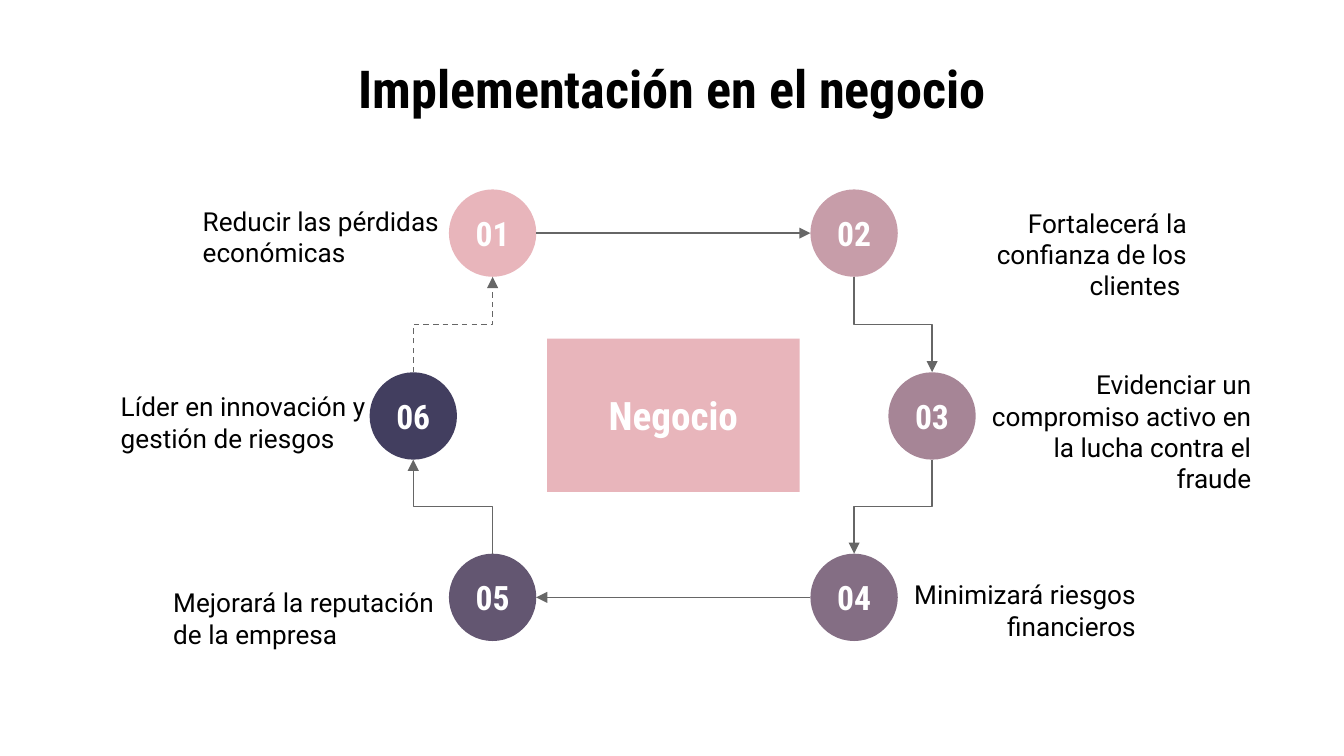
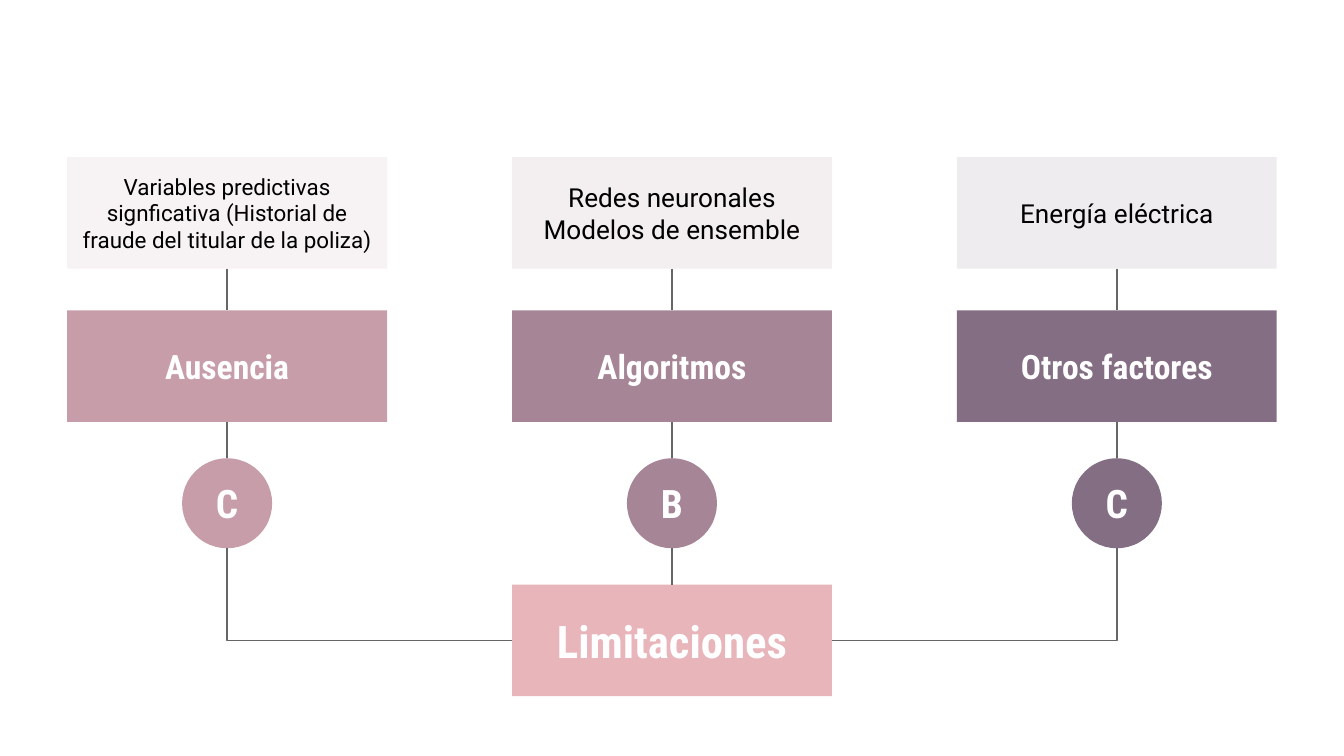
from dataclasses import dataclass

from lxml import etree
from pptx import Presentation
from pptx.dml.color import RGBColor
from pptx.enum.dml import MSO_LINE
from pptx.enum.shapes import MSO_CONNECTOR, MSO_SHAPE
from pptx.enum.text import MSO_ANCHOR, MSO_AUTO_SIZE, PP_ALIGN
from pptx.oxml.ns import qn
from pptx.util import Inches, Pt

BLACK = RGBColor(0x00, 0x00, 0x00)
WHITE = RGBColor(0xFF, 0xFF, 0xFF)
GRAY = RGBColor(0x66, 0x66, 0x66)
PINK = RGBColor(0xE8, 0xB5, 0xBB)
ROSE = RGBColor(0xC7, 0x9D, 0xA9)
MAUVE = RGBColor(0xA6, 0x85, 0x96)
PLUM = RGBColor(0x84, 0x6E, 0x84)
VIOLET = RGBColor(0x63, 0x56, 0x71)
NAVY = RGBColor(0x42, 0x3E, 0x5F)

BODY, HEADING = "Roboto", "Roboto Condensed"
LEFT, CENTER, RIGHT = PP_ALIGN.LEFT, PP_ALIGN.CENTER, PP_ALIGN.RIGHT
MIDDLE, NO_FIT = MSO_ANCHOR.MIDDLE, MSO_AUTO_SIZE.NONE
RECT, OVAL = MSO_SHAPE.RECTANGLE, MSO_SHAPE.OVAL
STRAIGHT, ELBOW = MSO_CONNECTOR.STRAIGHT, MSO_CONNECTOR.ELBOW
DASH = MSO_LINE.DASH
TOP_SITE, BOTTOM_SITE = 0, 2
TITLE_ONLY, BLANK = 5, 6
SLIDE_W = Inches(10)
SLIDE_H = SLIDE_W * 9 // 16
INSET = Inches(0.1)


@dataclass(frozen=True)
class Style:
    size: float
    name: str = HEADING
    color: RGBColor = WHITE
    bold: bool = True
    align: PP_ALIGN = CENTER


@dataclass(frozen=True)
class Benefit:
    number: str
    text: str
    color: RGBColor
    circle: tuple[float, float]
    label: tuple[float, float]
    align: PP_ALIGN


@dataclass(frozen=True)
class Limitation:
    letter: str
    name: str
    details: str
    size: float
    color: RGBColor


CIRCLE = 0.65
INNER_LEFT, INNER_RIGHT = 3.34, 6.03
OUTER_LEFT, OUTER_RIGHT = 2.75, 6.61
ROW_1, ROW_2, ROW_3 = 1.41, 2.77, 4.12

BENEFITS = [
    Benefit("01", "Reducir las pérdidas económicas", PINK,
            (INNER_LEFT, ROW_1), (1.41, 1.54), LEFT),
    Benefit("02", "Fortalecerá la confianza de los clientes ", ROSE,
            (INNER_RIGHT, ROW_1), (6.68, 1.67), RIGHT),
    Benefit("03", "Evidenciar un compromiso activo en la lucha contra el fraude", MAUVE,
            (OUTER_RIGHT, ROW_2), (7.16, 2.99), RIGHT),
    Benefit("04", "Minimizará riesgos financieros", PLUM,
            (INNER_RIGHT, ROW_3), (6.3, 4.32), RIGHT),
    Benefit("05", "Mejorará la reputación de la empresa", VIOLET,
            (INNER_LEFT, ROW_3), (1.19, 4.38), LEFT),
    Benefit("06", "Líder en innovación y gestión de riesgos", NAVY,
            (OUTER_LEFT, ROW_2), (0.8, 2.92), LEFT),
]

BOX_W, BOX_H = 2.38, 0.83
BOX_LEFT, BOX_STEP = 0.5, 3.31
BADGE = 0.67

LIMITATIONS = [
    Limitation("C", "Ausencia",
               "Variables predictivas signficativa (Historial de fraude del titular de la poliza)",
               12, ROSE),
    Limitation("B", "Algoritmos", "Redes neuronales\nModelos de ensemble", 14, MAUVE),
    Limitation("C", "Otros factores", "Energía eléctrica", 14, PLUM),
]


def write(sp, text: str, style: Style, wrap: bool = True) -> None:
    tf = sp.text_frame
    frame = {"word_wrap": wrap, "auto_size": NO_FIT, "vertical_anchor": MIDDLE,
             "margin_left": INSET, "margin_right": INSET,
             "margin_top": INSET, "margin_bottom": INSET}
    for key, value in frame.items():
        setattr(tf, key, value)
    for i, line in enumerate(text.split("\n")):
        p = tf.paragraphs[0] if i == 0 else tf.add_paragraph()
        p.alignment = style.align
        r = p.add_run()
        r.text = line
        for key, value in {"size": Pt(style.size), "name": style.name,
                           "bold": style.bold}.items():
            setattr(r.font, key, value)
        r.font.color.rgb = style.color


def add_block(shapes, kind, box: tuple, fill: RGBColor, text: str, style: Style,
              alpha: int = 100):
    """Add a filled preset shape with text; alpha is the opacity in percent."""
    sp = shapes.add_shape(kind, *(Inches(v) for v in box))
    sp.shadow.inherit = False
    sp.fill.solid()
    sp.fill.fore_color.rgb = fill
    sp.line.fill.background()
    if alpha < 100:
        color = sp.fill._xPr.find(qn("a:solidFill"))[0]
        etree.SubElement(color, qn("a:alpha"), val=str(alpha * 1000))
    write(sp, text, style, wrap=kind != OVAL)
    return sp


def add_line(shapes, kind, start: tuple, end: tuple, arrow: bool = False, dash=None):
    cxn = shapes.add_connector(kind, *start, *end)
    cxn.line.color.rgb = GRAY
    cxn.line.width = Pt(0.75)
    if dash:
        cxn.line.dash_style = dash
    if arrow:
        etree.SubElement(cxn.line._get_or_add_ln(), qn("a:tailEnd"), type="triangle")
    etree.SubElement(cxn._element.spPr, qn("a:effectLst"))
    return cxn


def turn_vertical(cxn) -> None:
    """Make an elbow connector leave and arrive vertically."""
    right, down = cxn.begin_x < cxn.end_x, cxn.begin_y < cxn.end_y
    w, h = cxn.width, cxn.height
    cxn.left, cxn.top = cxn.left + (w - h) // 2, cxn.top + (h - w) // 2
    cxn.width, cxn.height = h, w
    xfrm = cxn._element.spPr.find(qn("a:xfrm"))
    xfrm.set("rot", str((270 if right else 90) * 60000))
    xfrm.set("flipH", "1" if right == down else "0")
    xfrm.set("flipV", "0")


def side(sp, dx: int, dy: int) -> tuple[int, int]:
    """Return the middle of the side that lies in direction dx, dy."""
    return (sp.left + sp.width * (1 + dx) // 2, sp.top + sp.height * (1 + dy) // 2)


def add_benefit(slide, item: Benefit):
    group = slide.shapes.add_group_shape()
    label = group.shapes.add_textbox(*(Inches(v) for v in (*item.label, 2.25, 0.44)))
    write(label, item.text, Style(14, BODY, BLACK, False, item.align))
    return add_block(group.shapes, OVAL, (*item.circle, CIRCLE, CIRCLE),
                     item.color, item.number, Style(18))


def build_business(prs) -> None:
    slide = prs.slides.add_slide(prs.slide_layouts[TITLE_ONLY])
    title = slide.shapes.title
    title.left, title.top, title.width, title.height = (
        Inches(v) for v in (0.5, 0.45, 9, 0.41))
    write(title, "Implementación en el negocio", Style(28, color=BLACK))

    circles = [add_benefit(slide, item) for item in BENEFITS]
    add_block(slide.shapes, RECT, (4.07, 2.52, 1.88, 1.14), PINK, "Negocio", Style(21))

    for i, a in enumerate(circles):
        b = circles[(i + 1) % len(circles)]
        if a.top == b.top:
            dx = 1 if b.left > a.left else -1
            add_line(slide.shapes, STRAIGHT, side(a, dx, 0), side(b, -dx, 0), arrow=True)
        else:
            dy = 1 if b.top > a.top else -1
            dash = DASH if b is circles[0] else None
            turn_vertical(add_line(slide.shapes, ELBOW, side(a, 0, dy), side(b, 0, -dy),
                                   arrow=True, dash=dash))


def link_down(shapes, upper, lower) -> None:
    """Join the bottom of one block to the top of the block below it."""
    cxn = add_line(shapes, STRAIGHT, side(upper, 0, 1), side(lower, 0, -1))
    if upper.auto_shape_type == RECT:
        cxn.begin_connect(upper, BOTTOM_SITE)
    cxn.end_connect(lower, TOP_SITE)


def build_limitations(prs) -> None:
    slide = prs.slides.add_slide(prs.slide_layouts[BLANK])
    shapes = slide.shapes
    root = add_block(shapes, RECT, (BOX_LEFT + BOX_STEP, 4.35, BOX_W, BOX_H), PINK,
                     "Limitaciones", Style(24))
    for i, item in enumerate(LIMITATIONS):
        x = BOX_LEFT + i * BOX_STEP
        name = add_block(shapes, RECT, (x, 2.31, BOX_W, BOX_H), item.color,
                         item.name, Style(18))
        badge = add_block(shapes, OVAL, (x + (BOX_W - BADGE) / 2, 3.41, BADGE, BADGE),
                          item.color, item.letter, Style(21))
        details = add_block(shapes, RECT, (x, 1.17, BOX_W, BOX_H), item.color,
                            item.details, Style(item.size, BODY, BLACK, False), alpha=13)
        link_down(shapes, details, name)
        link_down(shapes, name, badge)
        dx = i - 1
        if dx == 0:
            link_down(shapes, badge, root)
        else:
            cxn = add_line(shapes, ELBOW, side(root, dx, 0), side(badge, 0, 1))
            cxn._element.spPr.find(qn("a:prstGeom")).set("prst", "bentConnector2")


def main() -> None:
    prs = Presentation()
    prs.slide_width, prs.slide_height = SLIDE_W, SLIDE_H
    build_business(prs)
    build_limitations(prs)
    prs.save("out.pptx")


if __name__ == "__main__":
    main()
